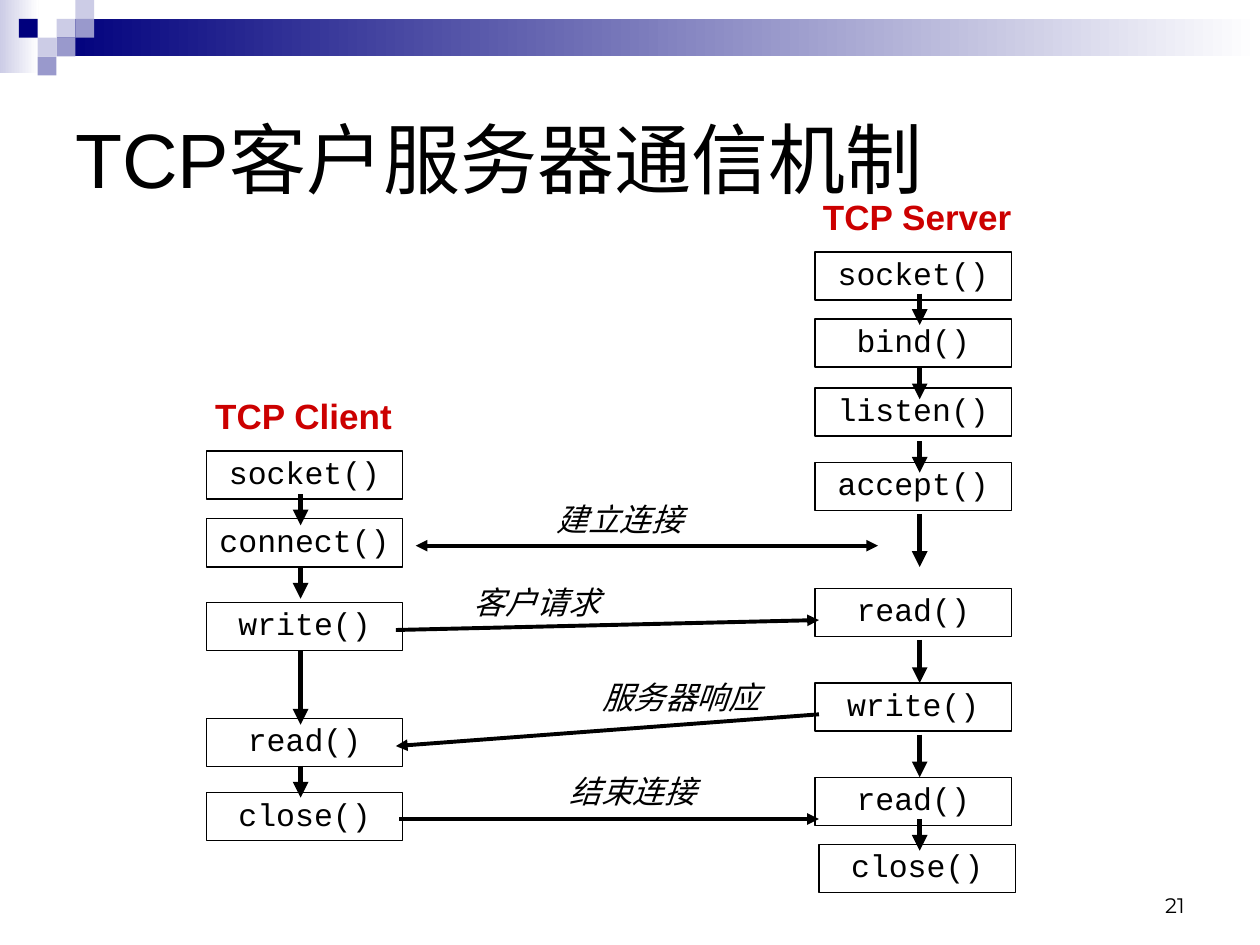
from lxml import etree
from pptx import Presentation
from pptx.dml.color import RGBColor
from pptx.enum.shapes import MSO_CONNECTOR, MSO_SHAPE
from pptx.enum.text import MSO_ANCHOR, PP_ALIGN
from pptx.oxml.ns import qn
from pptx.util import Cm, Pt

RECTANGLE = MSO_SHAPE.RECTANGLE
STRAIGHT = MSO_CONNECTOR.STRAIGHT
TOP, MIDDLE, BOTTOM = MSO_ANCHOR.TOP, MSO_ANCHOR.MIDDLE, MSO_ANCHOR.BOTTOM
LEFT, CENTER, RIGHT = PP_ALIGN.LEFT, PP_ALIGN.CENTER, PP_ALIGN.RIGHT

BLACK, RED, WHITE = "000000", "CC0000", "FFFFFF"
NAVY, LAVENDER, PERIWINKLE = "00007D", "CCCCE6", "9999CC"

FORMATS = {
    "title": {"font": {"name": "Arial", "size": Pt(44)}, "color": BLACK,
              "frame": {"vertical_anchor": MIDDLE, "word_wrap": True},
              "paragraph": {"alignment": LEFT}},
    "heading": {"font": {"name": "Arial", "size": Pt(20), "bold": True}, "color": RED,
                "frame": {"vertical_anchor": MIDDLE, "word_wrap": False},
                "paragraph": {"alignment": CENTER}},
    "call": {"font": {"name": "Courier New", "size": Pt(18)}, "color": BLACK,
             "frame": {"vertical_anchor": TOP, "word_wrap": False},
             "paragraph": {"alignment": CENTER, "line_spacing": 0.9}},
    "message": {"font": {"name": "Times New Roman", "size": Pt(18), "italic": True},
                "color": BLACK,
                "frame": {"vertical_anchor": MIDDLE, "word_wrap": False},
                "paragraph": {"alignment": CENTER}},
    "number": {"font": {"name": "Montserrat", "size": Pt(12)}, "color": BLACK,
               "frame": {"vertical_anchor": BOTTOM, "word_wrap": True},
               "paragraph": {"alignment": RIGHT}},
}

CELL = 0.38
MOSAIC = [(1, 1, LAVENDER), (2, 0, LAVENDER), (2, 1, PERIWINKLE), (0, 2, LAVENDER),
          (-1, 1, NAVY), (1, 2, PERIWINKLE), (0, 3, PERIWINKLE)]

CALL_WIDTH, CALL_HEIGHT = 3.96, 0.97
HEADING_HEIGHT, LABEL_HEIGHT = 1.12, 1.02

SERVER = {
    "heading": ("TCP Server", -0.14, 4.4),
    "calls": [("socket()", 0, 1.27), ("bind()", 0, 2.62), ("listen()", 0, 4.01),
              ("accept()", 0, 5.51), ("read()", 0, 8.05), ("write()", 0, 9.96),
              ("read()", 0, 11.86), ("close()", 0.08, 13.21)],
    "arrow_x": 2.11,
    "arrows": [(2.11, 2.74), (3.61, 4.24), (5.08, 5.72), (6.55, 7.62),
               (9.09, 9.96), (11, 11.86), (12.7, 13.34)],
}
CLIENT = {
    "heading": ("TCP Client", -0.24, 4.4),
    "calls": [("socket()", 0, 1.27), ("connect()", 0, 2.64), ("write()", 0, 4.32),
              ("read()", 0, 6.66), ("close()", 0, 8.16)],
    "arrow_x": 1.9,
    "arrows": [(2.14, 2.77), (3.61, 4.25), (5.31, 6.79), (7.62, 8.26)],
}
MESSAGES = [
    ("建立连接", (2.99, 0, 3.05), (0.4, 1.04), (9.72, 1.04), True),
    ("客户请求", (1.32, 1.67, 3.05), (0, 2.74), (8.53, 2.54), False),
    ("服务器响应", (3.91, 3.58, 3.68), (8.53, 4.44), (0, 5.08), False),
    ("结束连接", (3.25, 5.48, 3.05), (0.07, 6.55), (8.53, 6.55), False),
]


def rgb(color):
    return RGBColor.from_string(color)


def set_values(target, values):
    for name, value in values.items():
        setattr(target, name, value)


def write_text(shape, text, style):
    look = FORMATS[style]
    frame = shape.text_frame
    set_values(frame, look["frame"])
    paragraph = frame.paragraphs[0]
    set_values(paragraph, look["paragraph"])
    run = paragraph.add_run()
    run.text = text
    set_values(run.font, look["font"])
    run.font.color.rgb = rgb(look["color"])


def add_text(slide, box, text, style):
    write_text(slide.shapes.add_textbox(*map(Cm, box)), text, style)


def add_block(slide, box):
    block = slide.shapes.add_shape(RECTANGLE, *map(Cm, box))
    block.shadow.inherit = False
    return block


def add_arrow(slide, start, end, width, both=False):
    arrow = slide.shapes.add_connector(STRAIGHT, *map(Cm, (*start, *end)))
    arrow.line.width = Pt(width)
    arrow.line.color.rgb = rgb(BLACK)
    line = arrow.line._get_or_add_ln()
    for tip in ("a:headEnd", "a:tailEnd") if both else ("a:tailEnd",):
        etree.SubElement(line, qn(tip), type="triangle")
    etree.SubElement(arrow._element.spPr, qn("a:effectLst"))


def draw_banner(slide, left, top, width):
    grid_left = left + 2 * CELL
    bar_left = grid_left + CELL
    fades = [((left, top, 0.78, 1.47), LAVENDER),
             ((bar_left, top + CELL, left + width - bar_left, 0.76), NAVY)]
    for box, color in fades:
        fade = add_block(slide, box)
        fade.line.fill.background()
        fade.fill.gradient()
        fade.fill.gradient_angle = 0
        for stop, shade in zip(fade.fill.gradient_stops, (color, WHITE)):
            stop.color.rgb = rgb(shade)
    for column, row, color in MOSAIC:
        tile = add_block(slide, (grid_left + column * CELL, top + row * CELL, CELL, CELL))
        tile.line.fill.background()
        tile.fill.solid()
        tile.fill.fore_color.rgb = rgb(color)


def draw_call_column(slide, left, top, column):
    heading, shift, width = column["heading"]
    add_text(slide, (left + shift, top, width, HEADING_HEIGHT), heading, "heading")
    for name, x, y in column["calls"]:
        call = add_block(slide, (left + x, top + y, CALL_WIDTH, CALL_HEIGHT))
        call.fill.background()
        call.line.color.rgb = rgb(BLACK)
        call.line.width = Pt(0.75)
        write_text(call, name, "call")
    x = left + column["arrow_x"]
    for start, end in column["arrows"]:
        add_arrow(slide, (x, top + start), (x, top + end), 3)


def draw_messages(slide, left, top):
    for text, (x, y, width), start, end, both in MESSAGES:
        add_text(slide, (left + x, top + y, width, LABEL_HEIGHT), text, "message")
        ends = [(left + px, top + py) for px, py in (start, end)]
        add_arrow(slide, *ends, 2.25, both)


def main():
    deck = Presentation()
    deck.slide_width, deck.slide_height = Cm(25.4), Cm(19.05)
    slide = deck.slides.add_slide(deck.slide_layouts[6])
    draw_banner(slide, 0, 0, 25.4)
    add_text(slide, (1.27, 1.27, 22.86, 3.81), "TCP客户服务器通信机制", "title")
    draw_call_column(slide, 16.43, 3.81, SERVER)
    draw_call_column(slide, 4.16, 7.82, CLIENT)
    draw_messages(slide, 7.98, 9.96)
    add_text(slide, (18.21, 17.35, 5.92, 1.27), "21", "number")
    deck.save("out.pptx")


if __name__ == "__main__":
    main()
